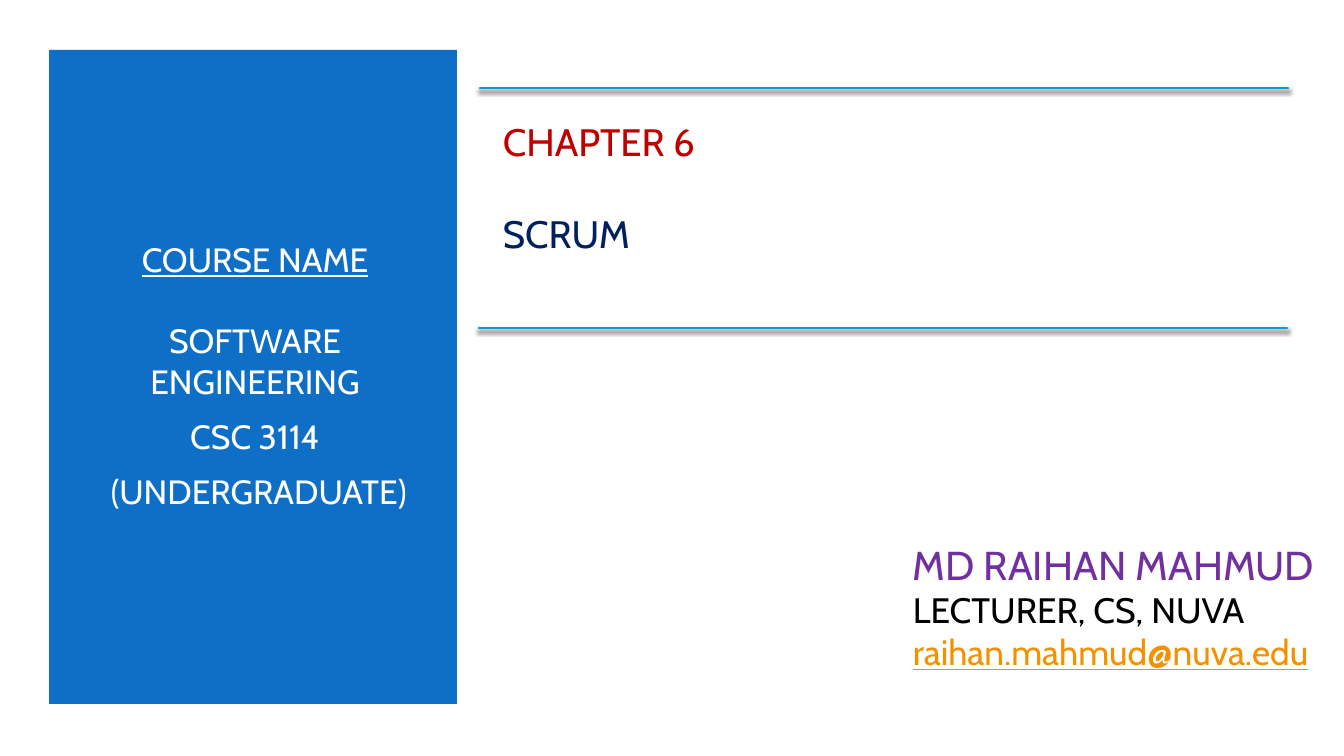
"""Build the opening slide of a course chapter on Scrum."""
import pptx
import pptx.dml.color
import pptx.enum.shapes
import pptx.enum.text
import pptx.oxml
import pptx.util

PX = 914400 / 100.8
LEFT = pptx.enum.text.PP_ALIGN.LEFT
MID = pptx.enum.text.PP_ALIGN.CENTER
SHADE = """<a:effectLst xmlns:a="http://schemas.openxmlformats.org/drawingml/2006/main">
<a:outerShdw blurRad="38100" dist="25400" dir="5400000" rotWithShape="0">
<a:srgbClr val="000000"><a:alpha val="55000"/></a:srgbClr></a:outerShdw></a:effectLst>"""


def rgb(code):
    return pptx.dml.color.RGBColor.from_string(code)


def write(para, text, size=24, color="FFFFFF", line=False, align=LEFT, before=0, after=0):
    para.alignment = align
    para.space_before = pptx.util.Pt(before)
    para.space_after = pptx.util.Pt(after)
    run = para.add_run()
    run.text = text
    run.font.name = "Cabin"
    run.font.size = pptx.util.Pt(size)
    run.font.color.rgb = rgb(color)
    run.font.underline = line


deck = pptx.Presentation()
deck.slide_width = round(1344 * PX)
deck.slide_height = round(756 * PX)
slide = deck.slides.add_slide(deck.slide_layouts[6])
shapes = slide.shapes

panel = shapes.add_shape(pptx.enum.shapes.MSO_SHAPE.RECTANGLE,
                         *(round(n * PX) for n in (49, 50, 408, 654)))
panel.shadow.inherit = False
panel.fill.solid()
panel.fill.fore_color.rgb = rgb("0F6FC6")
panel.line.fill.background()

course = [
    ("COURSE NAME", dict(align=MID, line=True, before=4.8)),
    ("SOFTWARE ENGINEERING", dict(align=MID, before=29, after=6)),
    ("CSC 3114", dict(align=MID, before=4.8, after=6)),
    (" (UNDERGRADUATE)", dict(align=MID, before=4.8, after=6)),
]
title = [
    ("CHAPTER 6", dict(size=27.3, color="C00000")),
    ("SCRUM", dict(size=27.3, color="002060", before=33)),
]
author = [
    ("MD RAIHAN MAHMUD", dict(size=28.8, color="7030A0")),
    ("LECTURER, CS, NUVA", dict(size=25.2, color="000000")),
    ("raihan.mahmud@nuva.edu", dict(size=25.2, color="F49100", line=True)),
]
for place, lines in [
    ((85, 111, 340, 529), course),
    ((493, 111, 791, 152), title),
    ((903, 528, 441, 157), author),
]:
    frame = shapes.add_textbox(*(round(n * PX) for n in place)).text_frame
    frame.word_wrap = True
    frame.vertical_anchor = pptx.enum.text.MSO_ANCHOR.MIDDLE
    for index, (text, style) in enumerate(lines):
        para = frame.add_paragraph() if index else frame.paragraphs[0]
        write(para, text, **style)

for left, top in [(480, 88), (479, 328)]:
    ends = (left, top, left + 808, top)
    rule = shapes.add_connector(pptx.enum.shapes.MSO_CONNECTOR.STRAIGHT,
                                *(round(n * PX) for n in ends))
    rule.line.color.rgb = rgb("009DD9")
    rule.line.width = pptx.util.Pt(2)
    rule.line._get_or_add_ln().set("cap", "rnd")
    rule._element.spPr.append(pptx.oxml.parse_xml(SHADE))

deck.save("out.pptx")
